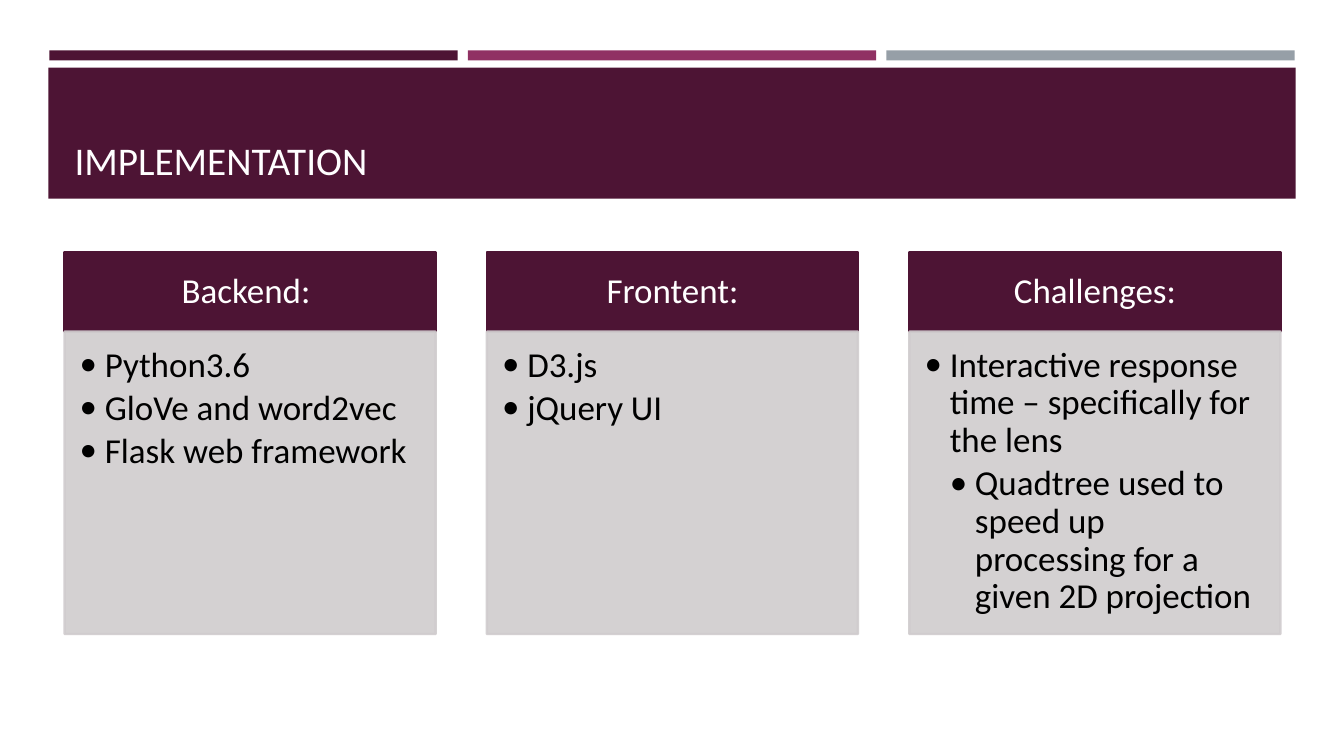
from lxml import etree
from pptx import Presentation
from pptx import util as u
from pptx.dml.color import RGBColor
from pptx.enum import shapes, text
from pptx.oxml.ns import qn

COLORS = {
    "plum": "4D1434",
    "magenta": "903163",
    "slate": "969FA7",
    "panel": "D0CCCE",
    "title": "FFFEFF",
    "white": "FFFFFF",
    "black": "000000",
}
FONT = "Calibri"

# Horizontal grids: left edge, pitch and width of three columns
STRIP_LEFT, STRIP_PITCH, STRIP_WIDTH = 0.49, 4.15, 4.05
CARD_LEFT, CARD_PITCH, CARD_WIDTH = 0.64, 4.19, 3.68
# Rows: top and height
STRIP_ROW = (0.5, 0.1)
BAND_ROW = (0.67, 1.3)
TITLE_ROW = (0.77, 1.11)
HEADING_ROW = (2.5, 0.79)
LIST_ROW = (3.29, 3.0)

# Heading and (level, wording) of each list entry
TOPICS = [
    ("Backend: ", [(0, "Python3.6"), (0, "GloVe and word2vec"),
                   (0, "Flask web framework")]),
    ("Frontent:", [(0, "D3.js"), (0, "jQuery UI")]),
    ("Challenges:", [
        (0, "Interactive response time – specifically for the lens"),
        (1, "Quadtree used to speed up processing for a given 2D projection"),
    ]),
]


def rgb(color):
    return RGBColor.from_string(COLORS[color])


def place(shape, left, width, row):
    shape.left, shape.width = u.Inches(left), u.Inches(width)
    shape.top, shape.height = (u.Inches(length) for length in row)


def paint(shape, color, outlined=False, alpha=None):
    shape.fill.solid()
    shape.fill.fore_color.rgb = rgb(color)
    if outlined:
        shape.line.width = u.Pt(1.75)
        shape.line.color.rgb = rgb(color)
    else:
        shape.line.fill.background()
    if alpha:
        for tint in shape.element.spPr.iter(qn("a:srgbClr")):
            etree.SubElement(tint, qn("a:alpha")).set("val", str(alpha * 1000))


def add_block(slide, left, width, row, color, outlined=False):
    block = slide.shapes.add_shape(shapes.MSO_SHAPE.RECTANGLE, 0, 0, 0, 0)
    place(block, left, width, row)
    block.shadow.inherit = False
    paint(block, color, outlined)
    return block


def set_frame(frame, anchor, insets):
    """Insets are left, top, right and bottom in inches."""
    frame.word_wrap = True
    frame.auto_size = text.MSO_AUTO_SIZE.NONE
    frame.vertical_anchor = anchor
    (frame.margin_left, frame.margin_top, frame.margin_right,
     frame.margin_bottom) = (u.Inches(inset) for inset in insets)


def format_paragraph(paragraph, size, color, align):
    paragraph.alignment = align
    paragraph.line_spacing = 0.9
    paragraph.space_before = u.Pt(0)
    for run in paragraph.runs:
        run.font.name, run.font.size = FONT, u.Pt(size)
        run.font.bold = False
        run.font.color.rgb = rgb(color)


def add_bullet(paragraph, level):
    paragraph.level = level
    properties = paragraph._p.get_or_add_pPr()
    properties.set("marL", str(u.Inches(0.25 * (level + 1))))
    properties.set("indent", str(u.Inches(-0.25)))
    etree.SubElement(properties, qn("a:buFont")).set("typeface", FONT)
    etree.SubElement(properties, qn("a:buChar")).set("char", "•")


def bring_to_front(slide, shape):
    slide.shapes.element.append(shape.element)


def fill_title(slide, wording):
    title = slide.shapes.title
    bring_to_front(slide, title)
    place(title, CARD_LEFT, 12.06, TITLE_ROW)
    title.text_frame.text = wording
    set_frame(title.text_frame, text.MSO_ANCHOR.BOTTOM, (0.1, 0.05, 0.1, 0.05))
    format_paragraph(title.text_frame.paragraphs[0], 28, "title",
                     text.PP_ALIGN.LEFT)


def add_heading(slide, left, wording):
    heading = add_block(slide, left, CARD_WIDTH, HEADING_ROW, "plum", True)
    heading.text_frame.text = wording
    set_frame(heading.text_frame, text.MSO_ANCHOR.MIDDLE,
              (0.19, 0.11, 0.19, 0.11))
    format_paragraph(heading.text_frame.paragraphs[0], 25, "white",
                     text.PP_ALIGN.CENTER)


def fill_list(slide, body, left, entries):
    bring_to_front(slide, body)
    place(body, left, CARD_WIDTH, LIST_ROW)
    paint(body, "panel", outlined=True, alpha=90)
    frame = body.text_frame
    frame.text = "\n".join(wording for _, wording in entries)
    set_frame(frame, text.MSO_ANCHOR.TOP, (0.15, 0.15, 0.19, 0.22))
    for paragraph, (level, _) in zip(frame.paragraphs, entries):
        format_paragraph(paragraph, 25, "black", text.PP_ALIGN.LEFT)
        paragraph.space_after = u.Pt(3.75)
        add_bullet(paragraph, level)


def main():
    deck = Presentation()
    deck.slide_width, deck.slide_height = u.Inches(13.33), u.Inches(7.5)
    comparison = deck.slide_layouts[4]
    slide = deck.slides.add_slide(comparison)
    *bodies, spare = list(slide.placeholders)[1:]
    spare.element.getparent().remove(spare.element)

    for column, color in enumerate(("plum", "magenta", "slate")):
        add_block(slide, STRIP_LEFT + column * STRIP_PITCH, STRIP_WIDTH,
                  STRIP_ROW, color)
    add_block(slide, 0.48, 12.37, BAND_ROW, "plum")
    fill_title(slide, "IMPLEMENTATION")

    for column, (body, (heading, entries)) in enumerate(zip(bodies, TOPICS)):
        left = CARD_LEFT + column * CARD_PITCH
        add_heading(slide, left, heading)
        fill_list(slide, body, left, entries)

    deck.save("out.pptx")


if __name__ == "__main__":
    main()
